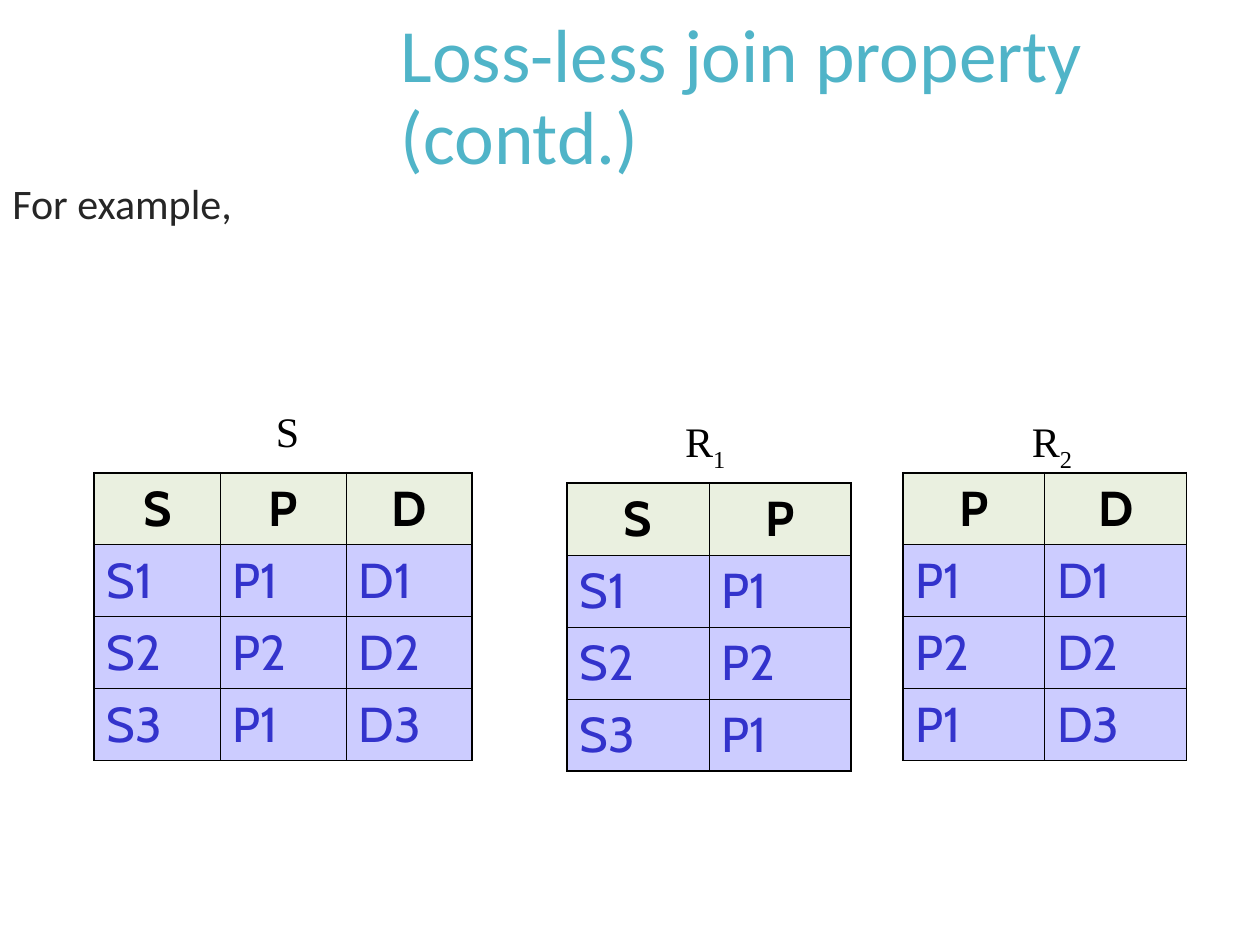
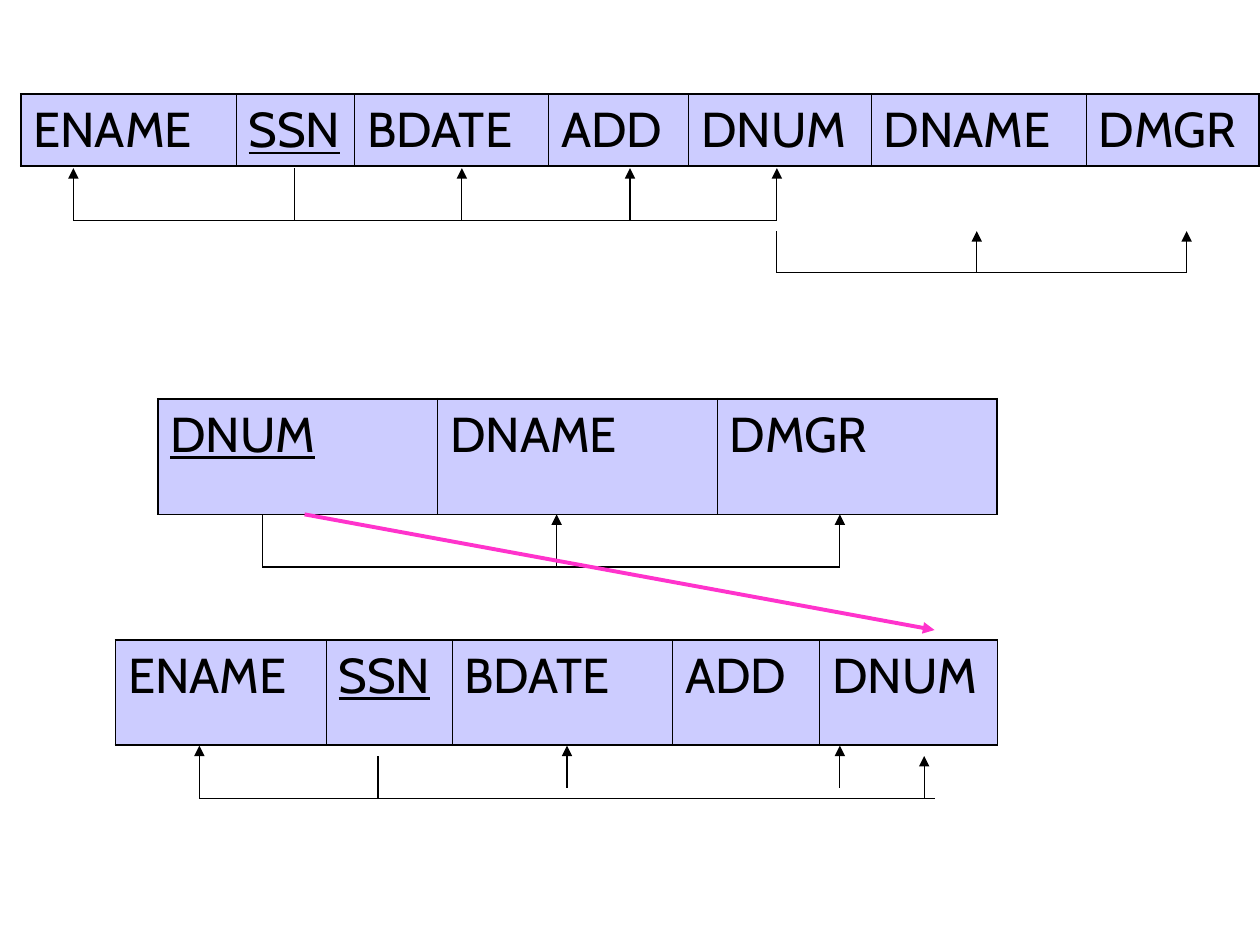
from lxml import etree
from pptx import Presentation
from pptx import util as u
from pptx.dml.color import RGBColor
from pptx.enum import shapes, text
from pptx.oxml import ns

COLOURS = {
    "ink": "000000",
    "title": "50B4C8",
    "body": "262626",
    "header": "EAF0E0",
    "cell": "CCCCFF",
    "value": "3333CC",
    "reference": "FF33CC",
}
OUTER, INNER = 1.08, 0.45
ROW = 1.45


def colour(name):
    return RGBColor.from_string(COLOURS[name])


def write(frame, words, font="Cabin", size=28, ink="ink", bold=False,
          underline=False, align=text.PP_ALIGN.LEFT, spacing=None, sub=""):
    paragraph = frame.paragraphs[0]
    paragraph.alignment = align
    if spacing:
        paragraph.line_spacing = spacing
    for part in filter(None, (words, sub)):
        run = paragraph.add_run()
        run.text = part
        run.font.name = font
        run.font.size = u.Pt(size)
        run.font.bold = bold
        run.font.underline = underline
        run.font.color.rgb = colour(ink)
    if sub:
        run._r.get_or_add_rPr().set("baseline", "-25000")


class Deck:
    def __init__(self):
        self.show = Presentation()
        self.show.slide_width = u.Cm(25.4)
        self.show.slide_height = u.Cm(19.05)
        self.slide = None

    def page(self, layout):
        self.slide = self.show.slides.add_slide(self.show.slide_layouts[layout])

    def title(self, words, left, top, width, height):
        heading = self.slide.shapes.title
        heading.left, heading.top = u.Cm(left), u.Cm(top)
        heading.width, heading.height = u.Cm(width), u.Cm(height)
        frame = heading.text_frame
        frame.auto_size = text.MSO_AUTO_SIZE.NONE
        frame.vertical_anchor = text.MSO_ANCHOR.MIDDLE
        write(frame, words, font="Calibri", size=43, ink="title", spacing=0.9)

    def label(self, words, left, top, width, height, wrap=False, **style):
        box = self.slide.shapes.add_textbox(*map(u.Cm, (left, top, width, height)))
        box.text_frame.word_wrap = wrap
        write(box.text_frame, words, **style)

    def border(self, cell, sides):
        properties = cell._tc.get_or_add_tcPr()
        for place, (side, width) in enumerate(sides.items()):
            line = etree.Element(ns.qn(f"a:ln{side}"), w=str(u.Pt(width)))
            fill = etree.SubElement(line, ns.qn("a:solidFill"))
            etree.SubElement(fill, ns.qn("a:srgbClr"), val=COLOURS["ink"])
            properties.insert(place, line)

    def table(self, rows, left, top, widths, height=ROW, header=False, key=None):
        last_row, last_column = len(rows) - 1, len(widths) - 1
        grid = self.slide.shapes.add_table(
            len(rows), len(widths), u.Cm(left), u.Cm(top),
            u.Cm(sum(widths)), u.Cm(height * len(rows))).table
        grid.first_row = grid.horz_banding = False
        for column, width in zip(grid.columns, widths):
            column.width = u.Cm(width)
        for r, row in enumerate(rows):
            for c, words in enumerate(row):
                cell = grid.cell(r, c)
                heading = header and r == 0
                cell.fill.solid()
                cell.fill.fore_color.rgb = colour("header" if heading else "cell")
                self.border(cell, {
                    "L": INNER if c else OUTER,
                    "R": INNER if c < last_column else OUTER,
                    "T": INNER if r else OUTER,
                    "B": INNER if r < last_row else OUTER,
                })
                write(cell.text_frame, words, bold=heading, underline=words == key,
                      ink="value" if header and not heading else "ink",
                      align=text.PP_ALIGN.CENTER if heading else text.PP_ALIGN.LEFT)

    def line(self, x1, y1, x2, y2, arrow=False, ink="ink", width=0.75):
        link = self.slide.shapes.add_connector(
            shapes.MSO_CONNECTOR.STRAIGHT, *map(u.Cm, (x1, y1, x2, y2)))
        link.line.color.rgb = colour(ink)
        link.line.width = u.Pt(width)
        if arrow:
            etree.SubElement(link.line._get_or_add_ln(), ns.qn("a:tailEnd"), type="triangle")
        etree.SubElement(link._element.spPr, ns.qn("a:effectLst"))

    def dependency(self, source, targets, bar, tip):
        ends = [source, *targets]
        self.line(source, tip, source, bar)
        self.line(min(ends), bar, max(ends), bar)
        for target in targets:
            self.line(target, bar, target, tip, arrow=True)


def join_example(deck):
    deck.page(5)
    deck.title("Loss-less join property (contd.)", 7.82, 1.02, 17.58, 1.96)
    deck.label("For example,", 0, 3.61, 24.13, 14.4, wrap=True,
               font="Calibri", size=24, ink="body", spacing=0.85)

    relation = [("S", "P", "D"), ("S1", "P1", "D1"), ("S2", "P2", "D2"), ("S3", "P1", "D3")]
    deck.table(relation, 1.9, 9.53, [2.54] * 3, header=True)
    deck.table([row[:2] for row in relation], 11.43, 9.74, [2.86] * 2, header=True)
    deck.table([row[1:] for row in relation], 18.2, 9.53, [2.86] * 2, header=True)

    caption = {"font": "Times New Roman", "size": 24}
    deck.label("S", 5.31, 8.05, 0.97, 1.27, **caption)
    for number, left in (("1", 13.56), ("2", 20.55)):
        deck.label("R", left, 8.26, 1.32, 1.42, sub=number, **caption)


def employee_schemas(deck):
    deck.page(6)
    employee = ["ENAME", "SSN", "BDATE", "ADD", "DNUM"]
    department = ["DNUM", "DNAME", "DMGR"]

    deck.table([employee + department[1:]], 0.42, 1.9,
               [4.34, 2.39, 3.91, 2.82, 3.68, 4.34, 3.48], key="SSN")
    deck.dependency(5.93, [1.48, 9.31, 12.7, 15.66], bar=4.45, tip=3.39)
    deck.dependency(15.66, [19.69, 23.92], bar=5.5, tip=4.66)

    deck.table([department], 3.18, 8.04, [5.64] * 3, height=2.33, key="DNUM")
    deck.dependency(5.29, [11.22, 16.93], bar=11.43, tip=10.37)

    deck.table([employee], 2.33, 12.9, [4.24, 2.54, 4.45, 2.96, 3.59],
               height=2.12, key="SSN")
    bar, tip, low_tip = 16.09, 15.03, 15.24
    deck.line(7.62, low_tip, 7.62, bar)
    deck.line(4.02, bar, 18.84, bar)
    for x, start, end in ((4.02, bar, tip), (11.43, 15.88, tip),
                          (16.93, 15.88, tip), (18.63, bar, low_tip)):
        deck.line(x, start, x, end, arrow=True)

    deck.line(6.14, 10.37, 18.84, 12.7, arrow=True, ink="reference", width=2.25)


def main():
    deck = Deck()
    join_example(deck)
    employee_schemas(deck)
    deck.show.save("out.pptx")


if __name__ == "__main__":
    main()
